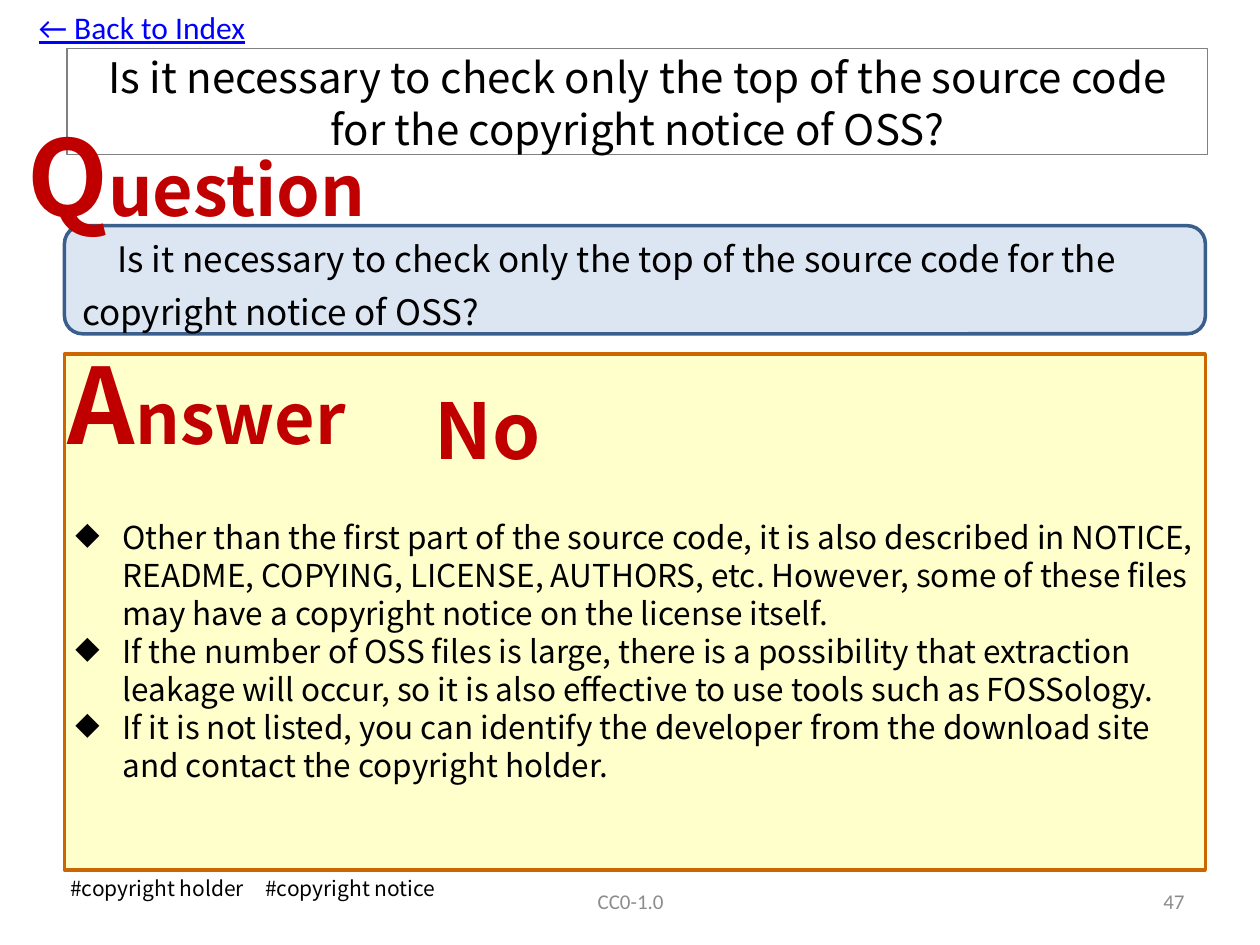
from lxml import etree
from pptx import Presentation
from pptx.dml.color import RGBColor
from pptx.enum.shapes import MSO_SHAPE
from pptx.enum.text import MSO_ANCHOR, MSO_AUTO_SIZE, PP_ALIGN
from pptx.oxml.ns import qn
from pptx.util import Cm, Pt

RECTANGLE = MSO_SHAPE.RECTANGLE
ROUNDED = MSO_SHAPE.ROUNDED_RECTANGLE
LEFT, CENTER, RIGHT = PP_ALIGN.LEFT, PP_ALIGN.CENTER, PP_ALIGN.RIGHT
TOP, MIDDLE = MSO_ANCHOR.TOP, MSO_ANCHOR.MIDDLE
GROW = MSO_AUTO_SIZE.SHAPE_TO_FIT_TEXT

MAIN_FONT = "Noto Sans CJK JP"
FOOTER_FONT = "Calibri"
BLACK, RED, GRAY, BLUE = "000000", "C00000", "8C8C8C", "0000FF"

QUESTION = ("Is it necessary to check only the top of the source code "
            "for the copyright notice of OSS?")
ANSWERS = [
    "Other than the first part of the source code, it is also described in "
    "NOTICE, README, COPYING, LICENSE, AUTHORS, etc. However, some of these "
    "files may have a copyright notice on the license itself.",
    "If the number of OSS files is large, there is a possibility that "
    "extraction leakage will occur, so it is also effective to use tools "
    "such as FOSSology.",
    "If it is not listed, you can identify the developer from the download "
    "site and contact the copyright holder.",
]


def color(value):
    return RGBColor.from_string(value)


def add_box(slide, kind, left, top, width, height, line, weight, fill=None):
    shape = slide.shapes.add_shape(kind, Cm(left), Cm(top), Cm(width), Cm(height))
    shape.shadow.inherit = False
    if fill:
        shape.fill.solid()
        shape.fill.fore_color.rgb = color(fill)
    else:
        shape.fill.background()
    shape.line.color.rgb = color(line)
    shape.line.width = Pt(weight)
    return shape


def add_text_box(slide, left, top, width, height, wrap=True, grow=False):
    shape = slide.shapes.add_textbox(Cm(left), Cm(top), Cm(width), Cm(height))
    shape.text_frame.word_wrap = wrap
    if grow:
        shape.text_frame.auto_size = GROW
    return shape


def add_bullet(paragraph, indent):
    properties = paragraph._p.get_or_add_pPr()
    properties.set("marL", str(Cm(indent)))
    properties.set("indent", str(-Cm(indent)))
    etree.SubElement(properties, qn("a:buChar")).set("char", "◆")


def write(paragraph, text, size, font=MAIN_FONT, fill=BLACK, bold=False,
          underline=False, align=LEFT, spacing=None):
    """Add one formatted run to the paragraph."""
    paragraph.alignment = align
    if spacing:
        paragraph.line_spacing = Pt(spacing)
    run = paragraph.add_run()
    run.text = text
    run.font.size = Pt(size)
    run.font.name = font
    run.font.bold = bold
    run.font.underline = underline
    run.font.color.rgb = color(fill)
    latin = run._r.rPr.find(qn("a:latin"))
    east_asian = etree.Element(qn("a:ea"))
    east_asian.set("typeface", font)
    latin.addnext(east_asian)


def fill_text(shape, text, size, anchor=TOP, **style):
    shape.text_frame.vertical_anchor = anchor
    write(shape.text_frame.paragraphs[0], text, size, **style)


def add_heading(slide, word, left, top, width):
    """Heading with a large first letter."""
    shape = add_text_box(slide, left, top, width, 2.82, wrap=False, grow=True)
    fill_text(shape, word[0], 60, fill=RED, bold=True)
    fill_text(shape, word[1:], 40, fill=RED, bold=True)


def add_bullets(slide, items, left, top, width, height):
    frame = add_text_box(slide, left, top, width, height).text_frame
    for index, item in enumerate(items):
        paragraph = frame.add_paragraph() if index else frame.paragraphs[0]
        add_bullet(paragraph, 0.95)
        write(paragraph, item, 18, spacing=21.7)


def main():
    presentation = Presentation()
    presentation.slide_width = Cm(25.4)
    presentation.slide_height = Cm(19.05)
    slide = presentation.slides.add_slide(presentation.slide_layouts[6])

    # Answer panel and title
    add_box(slide, RECTANGLE, 1.3, 7.14, 23, 10.4, "CC6600", 2, "FFFFCC")
    title = add_box(slide, RECTANGLE, 1.35, 0.98, 23, 2.14, "808080", 0.75)
    fill_text(title, QUESTION, 24, MIDDLE, align=CENTER, spacing=30)

    # Answer points
    add_bullets(slide, ANSWERS, 1.27, 10.31, 23.04, 7.2)

    # Question
    question = add_box(slide, ROUNDED, 1.3, 4.55, 23, 2.18, "3A5F8C", 2, "DCE6F2")
    fill_text(question, "　" + QUESTION, 20, MIDDLE, spacing=30)

    # Headings and short answer
    add_heading(slide, "Question", 0.3, 2.13, 7.8)
    add_heading(slide, "Answer", 1.12, 6.71, 6.68)
    verdict = add_text_box(slide, 8.51, 7.59, 4.8, 2.13, grow=True)
    fill_text(verdict, "No", 44, fill=RED, bold=True)

    # Index label and tags
    index_label = add_text_box(slide, 0.53, 0.03, 4.72, 1.02, wrap=False, grow=True)
    fill_text(index_label, "← Back to Index", 18, font=FOOTER_FONT, fill=BLUE,
              underline=True)
    tags = add_text_box(slide, 1.17, 17.53, 8.36, 0.76, wrap=False, grow=True)
    fill_text(tags, "#copyright holder　#copyright notice", 12)

    # Footer
    for text, left, width, align in [("CC0-1.0", 8.69, 8.05, CENTER),
                                     ("47", 18.21, 5.92, RIGHT)]:
        footer = add_text_box(slide, left, 17.65, width, 1.02)
        fill_text(footer, text, 12, MIDDLE, font=FOOTER_FONT, fill=GRAY, align=align)

    presentation.save("out.pptx")


if __name__ == "__main__":
    main()
